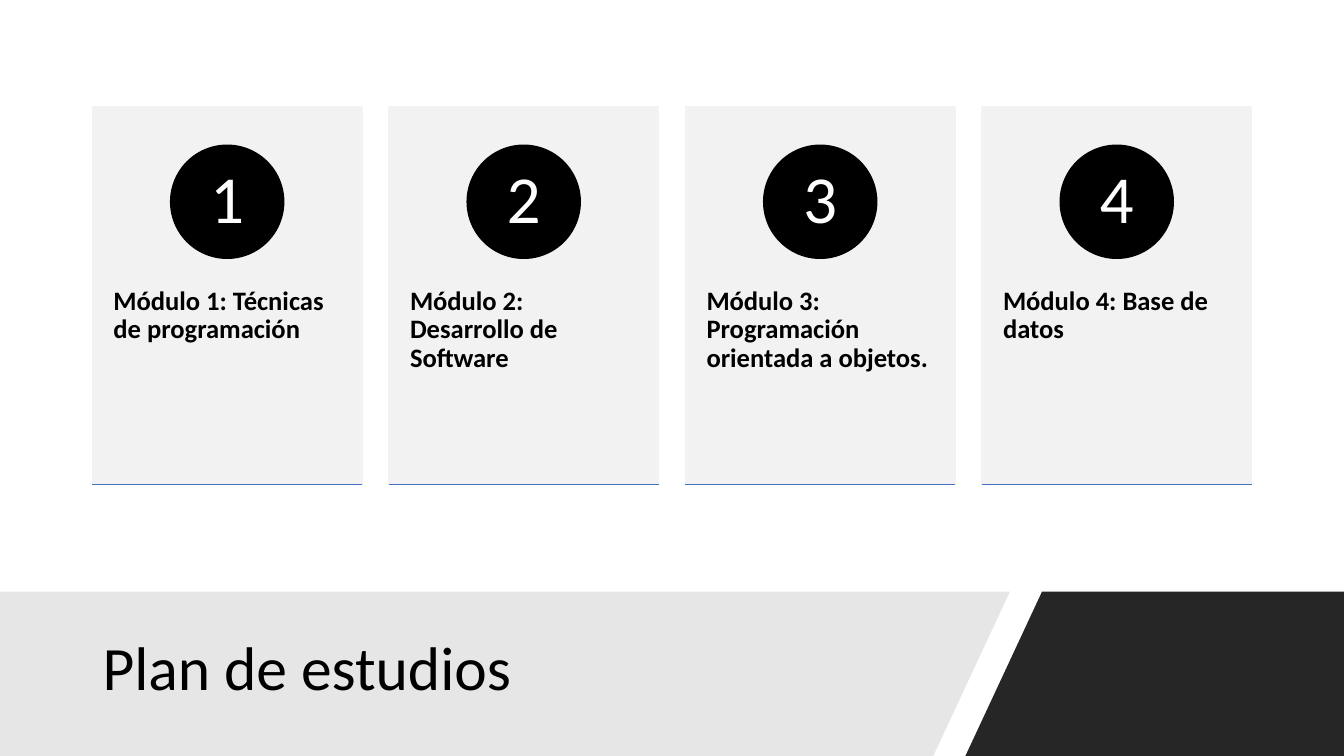
from lxml import etree
from pptx import Presentation
from pptx.dml.color import RGBColor
from pptx.enum.shapes import MSO_CONNECTOR, MSO_SHAPE
from pptx.enum.text import MSO_ANCHOR, MSO_AUTO_SIZE, PP_ALIGN
from pptx.oxml.ns import qn
from pptx.util import Cm, Pt

RECTANGLE, OVAL = MSO_SHAPE.RECTANGLE, MSO_SHAPE.OVAL
STRAIGHT = MSO_CONNECTOR.STRAIGHT
TOP, MIDDLE = MSO_ANCHOR.TOP, MSO_ANCHOR.MIDDLE
LEFT, CENTER = PP_ALIGN.LEFT, PP_ALIGN.CENTER
NO_AUTOFIT = MSO_AUTO_SIZE.NONE

FONT = "Calibri"
COLORS = {
    "black": "000000",
    "white": "FFFFFF",
    "card": "F2F2F2",
    "accent": "4472C4",
    "light band": "E7E6E6",
    "dark band": "262626",
}
MODULES = [
    "Módulo 1: Técnicas de programación",
    "Módulo 2: Desarrollo de Software",
    "Módulo 3: Programación orientada a objetos.",
    "Módulo 4: Base de datos",
]
SLIDE_WIDTH, SLIDE_HEIGHT = Cm(33.87), Cm(19.05)
MARGIN = Cm(2.33)


def color(name):
    return RGBColor.from_string(COLORS[name])


def paint(shape, name, outlined=True):
    shape.shadow.inherit = False
    shape.fill.solid()
    shape.fill.fore_color.rgb = color(name)
    if outlined:
        shape.line.color.rgb = color(name)
        shape.line.width = Pt(1)
    else:
        shape.line.fill.background()


def write(shape, text, size, name, align=LEFT, anchor=MIDDLE, bold=False, insets=None):
    frame = shape.text_frame
    frame.text = text
    frame.word_wrap = True
    frame.auto_size = NO_AUTOFIT
    frame.vertical_anchor = anchor
    if insets:
        frame.margin_left = frame.margin_right = insets[0]
        frame.margin_top = frame.margin_bottom = insets[1]
    paragraph = frame.paragraphs[0]
    paragraph.alignment = align
    paragraph.line_spacing = 0.9
    font = paragraph.runs[0].font
    font.name, font.size, font.bold = FONT, Pt(size), bold
    font.color.rgb = color(name)


def add_band(slide, corners, name):
    builder = slide.shapes.build_freeform(*corners[0], scale=1.0)
    builder.add_line_segments(corners[1:], close=True)
    paint(builder.convert_to_shape(), name, outlined=False)


def add_footer(slide, left, top, width, height):
    right, bottom = left + width, top + height

    # Slanted bands
    add_band(slide, [(left + Cm(26.26), top), (right, top),
                     (right, bottom), (left + Cm(24.33), bottom)], "dark band")
    add_band(slide, [(left, top), (left + Cm(25.45), top),
                     (left + Cm(23.52), bottom), (left, bottom)], "light band")

    # Title, brought in front of the bands
    title = slide.shapes.title
    title.left, title.top = left + MARGIN, top + Cm(0.46)
    title.width, title.height = Cm(21.44), Cm(3.05)
    write(title, "Plan de estudios", 44, "black")
    title.element.getparent().append(title.element)


def add_module_card(slide, number, module, left, top, width, height):
    shapes = slide.shapes

    # Card background
    card = shapes.add_shape(RECTANGLE, left, top, width, height)
    paint(card, "card")

    # Module name
    name_offset = Cm(3.63)
    module_name = shapes.add_textbox(left, top + name_offset, width, Cm(5.72))
    write(module_name, module, 19, "black", anchor=TOP, bold=True,
          insets=(Cm(0.53), Cm(0.91)))

    # Number badge
    diameter = Cm(2.85)
    badge = shapes.add_shape(OVAL, left + (width - diameter) // 2,
                             top + Cm(0.96), diameter, diameter)
    paint(badge, "black")
    write(badge, str(number), 48, "white", align=CENTER,
          insets=(Cm(0.23), Cm(0.03)))

    # Bottom rule
    bottom = top + height
    rule = shapes.add_connector(STRAIGHT, left, bottom, left + width, bottom)
    rule.line.color.rgb = color("accent")
    rule.line.width = Pt(1)
    etree.SubElement(rule.element.spPr, qn("a:effectLst"))


def add_module_cards(slide, left, top, width, height):
    gap = Cm(0.68)
    count = len(MODULES)
    card_width = (width - gap * (count - 1)) // count
    for index, module in enumerate(MODULES):
        add_module_card(slide, index + 1, module,
                        left + index * (card_width + gap), top, card_width, height)


def main():
    presentation = Presentation()
    presentation.slide_width, presentation.slide_height = SLIDE_WIDTH, SLIDE_HEIGHT
    slide = presentation.slides.add_slide(presentation.slide_layouts[5])

    footer_top = Cm(14.91)
    add_footer(slide, 0, footer_top, SLIDE_WIDTH, SLIDE_HEIGHT - footer_top)
    add_module_cards(slide, MARGIN, Cm(2.7), SLIDE_WIDTH - 2 * MARGIN, Cm(9.51))
    presentation.save("out.pptx")


if __name__ == "__main__":
    main()
